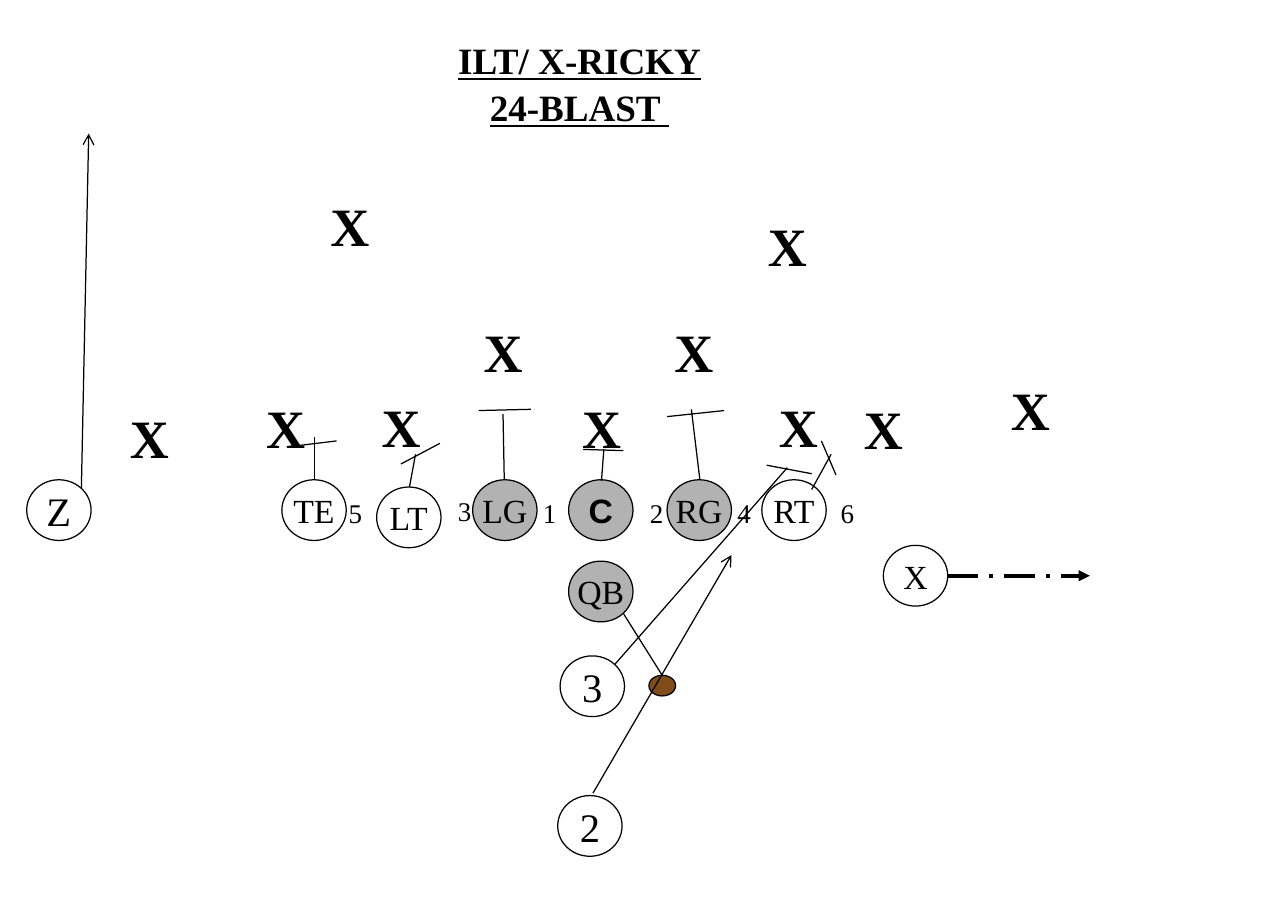
from typing import NamedTuple

from pptx import Presentation
from pptx.dml.color import RGBColor
from pptx.enum.dml import MSO_LINE
from pptx.enum.shapes import MSO_CONNECTOR, MSO_SHAPE
from pptx.enum.text import MSO_ANCHOR, MSO_AUTO_SIZE, PP_ALIGN
from pptx.oxml.ns import qn
from pptx.oxml.xmlchemy import OxmlElement
from pptx.util import Inches, Pt

OVAL = MSO_SHAPE.OVAL
STRAIGHT = MSO_CONNECTOR.STRAIGHT
LONG_DASH_DOT = MSO_LINE.LONG_DASH_DOT
CENTER, LEFT = PP_ALIGN.CENTER, PP_ALIGN.LEFT
TOP, MIDDLE = MSO_ANCHOR.TOP, MSO_ANCHOR.MIDDLE
NO_AUTOFIT = MSO_AUTO_SIZE.NONE

BLACK, WHITE, GRAY, BROWN = "000000", "FFFFFF", "B2B2B2", "804C19"
SERIF, SANS = "Times New Roman", "Arial"
PLAYER_WIDTH, PLAYER_HEIGHT = 0.53, 0.5
THIN, THICK = 0.74, 2.24
LINE_TOP = 3.95  # top of the players on the line of scrimmage


class Player(NamedTuple):
    """An offensive player: circle position, label and look."""
    label: str
    left: float
    top: float
    fill: str = WHITE
    size: int = 20
    font: str = SERIF
    bold: bool = False


class Stroke(NamedTuple):
    """A straight line of the play, with an optional arrowhead."""
    x1: float
    y1: float
    x2: float
    y2: float
    head: str = ""
    width: float = THIN
    dashed: bool = False


OFFENSE = [
    Player("C", 4.68, LINE_TOP, GRAY, font=SANS, bold=True),
    Player("RG", 5.49, LINE_TOP, GRAY),
    Player("LG", 3.89, LINE_TOP, GRAY),
    Player("QB", 4.68, 4.62, GRAY),
    Player("RT", 6.27, LINE_TOP),
    Player("LT", 3.1, 4.01),
    Player("TE", 2.32, LINE_TOP),
    Player("Z", 0.22, LINE_TOP, size=24),
    Player("X", 7.27, 4.49),
    Player("3", 4.61, 5.4, size=24),
    Player("2", 4.59, 6.55, size=24),
]
DEFENSE = [
    (0.97, 3.28), (2.09, 3.2), (3.04, 3.19), (4.69, 3.2), (6.31, 3.19),
    (7.01, 3.21), (8.22, 3.05), (3.88, 2.57), (5.45, 2.57), (2.62, 1.54),
    (6.22, 1.7),
]
HOLES = [
    ("5", 2.77, 4.04), ("3", 3.67, 4.02), ("1", 4.37, 4.04),
    ("2", 5.25, 4.04), ("4", 5.97, 4.04), ("6", 6.82, 4.04),
]
BLOCKS = [
    Stroke(2.59, 3.95, 2.59, 3.6), Stroke(2.36, 3.68, 2.77, 3.63),
    Stroke(3.37, 4.01, 3.42, 3.74), Stroke(3.3, 3.82, 3.62, 3.65),
    Stroke(4.15, 3.95, 4.14, 3.41), Stroke(3.94, 3.38, 4.37, 3.37),
    Stroke(4.95, 3.96, 4.97, 3.7), Stroke(4.8, 3.7, 5.13, 3.71),
    Stroke(5.76, 3.95, 5.69, 3.37), Stroke(5.49, 3.43, 5.96, 3.38),
    Stroke(6.68, 4.03, 6.84, 3.74), Stroke(6.76, 3.63, 6.88, 3.91),
    Stroke(5.06, 5.47, 6.48, 3.85), Stroke(6.31, 3.83, 6.68, 3.9),
]
ROUTES = [
    Stroke(5.13, 5.05, 5.45, 5.56),
    Stroke(4.88, 6.53, 6.02, 4.57, "arrow"),
    Stroke(0.67, 4.02, 0.73, 1.1, "arrow"),
    Stroke(7.8, 4.74, 8.97, 4.74, "triangle", THICK, True),
]


def color(hex_code: str) -> RGBColor:
    """Turn a hex string into a colour."""
    return RGBColor.from_string(hex_code)


def write(frame, text: str, size: int, font: str = SERIF, bold: bool = False,
          align=CENTER) -> None:
    """Fill a text frame, formatting each of its paragraphs."""
    frame.text = text
    for paragraph in frame.paragraphs:
        paragraph.alignment = align
        paragraph.font.size = Pt(size)
        paragraph.font.name = font
        paragraph.font.bold = bold
        paragraph.font.color.rgb = color(BLACK)


def add_oval(slide, left: float, top: float, width: float, height: float, fill: str):
    """Draw an outlined ellipse and return it."""
    oval = slide.shapes.add_shape(
        OVAL, Inches(left), Inches(top), Inches(width), Inches(height))
    oval.shadow.inherit = False
    oval.fill.solid()
    oval.fill.fore_color.rgb = color(fill)
    oval.line.color.rgb = color(BLACK)
    oval.line.width = Pt(THIN)
    return oval


def add_player(slide, player: Player) -> None:
    """Draw a player's circle with the label in it."""
    circle = add_oval(slide, player.left, player.top, PLAYER_WIDTH, PLAYER_HEIGHT,
                      player.fill)
    frame = circle.text_frame
    frame.word_wrap = False
    frame.vertical_anchor = MIDDLE
    write(frame, player.label, player.size, player.font, player.bold)


def add_mark(slide, text: str, left: float, top: float, width: float, height: float,
             size: int, bold: bool = False, align=LEFT) -> None:
    """Place a free-standing mark on the field."""
    mark = slide.shapes.add_textbox(
        Inches(left), Inches(top), Inches(width), Inches(height))
    mark.text_frame.word_wrap = False
    write(mark.text_frame, text, size, bold=bold, align=align)


def add_stroke(slide, stroke: Stroke) -> None:
    """Draw one line of the play."""
    connector = slide.shapes.add_connector(
        STRAIGHT, Inches(stroke.x1), Inches(stroke.y1),
        Inches(stroke.x2), Inches(stroke.y2))
    connector.line.color.rgb = color(BLACK)
    connector.line.width = Pt(stroke.width)
    if stroke.dashed:
        connector.line.dash_style = LONG_DASH_DOT
    properties = connector._element.spPr
    if stroke.head:
        tail = OxmlElement("a:tailEnd")
        tail.set("type", stroke.head)
        properties.find(qn("a:ln")).append(tail)
    properties.append(OxmlElement("a:effectLst"))


def set_title(slide, text: str) -> None:
    """Move and format the title placeholder."""
    title = slide.shapes.title
    title.left, title.top = Inches(2.37), Inches(0.26)
    title.width, title.height = Inches(4.8), Inches(1.2)
    frame = title.text_frame
    frame.auto_size = NO_AUTOFIT
    frame.vertical_anchor = TOP
    write(frame, text, 22, bold=True)
    for paragraph in frame.paragraphs:
        paragraph.font.underline = True
        paragraph.space_before = Pt(1.5)


def main() -> None:
    """Build the play diagram."""
    deck = Presentation()
    deck.slide_width, deck.slide_height = Inches(10.6), Inches(7.5)
    title_only = deck.slide_layouts[5]
    slide = deck.slides.add_slide(title_only)

    set_title(slide, "ILT/ X-RICKY\n24-BLAST ")
    for player in OFFENSE:
        add_player(slide, player)
    for left, top in DEFENSE:
        add_mark(slide, "X", left, top, 0.52, 0.64, 32, bold=True, align=CENTER)
    for number, left, top in HOLES:
        add_mark(slide, number, left, top, 0.34, 0.43, 16)
    add_oval(slide, 5.34, 5.56, 0.22, 0.17, BROWN)  # the ball
    for stroke in BLOCKS + ROUTES:
        add_stroke(slide, stroke)

    deck.save("out.pptx")


main()
